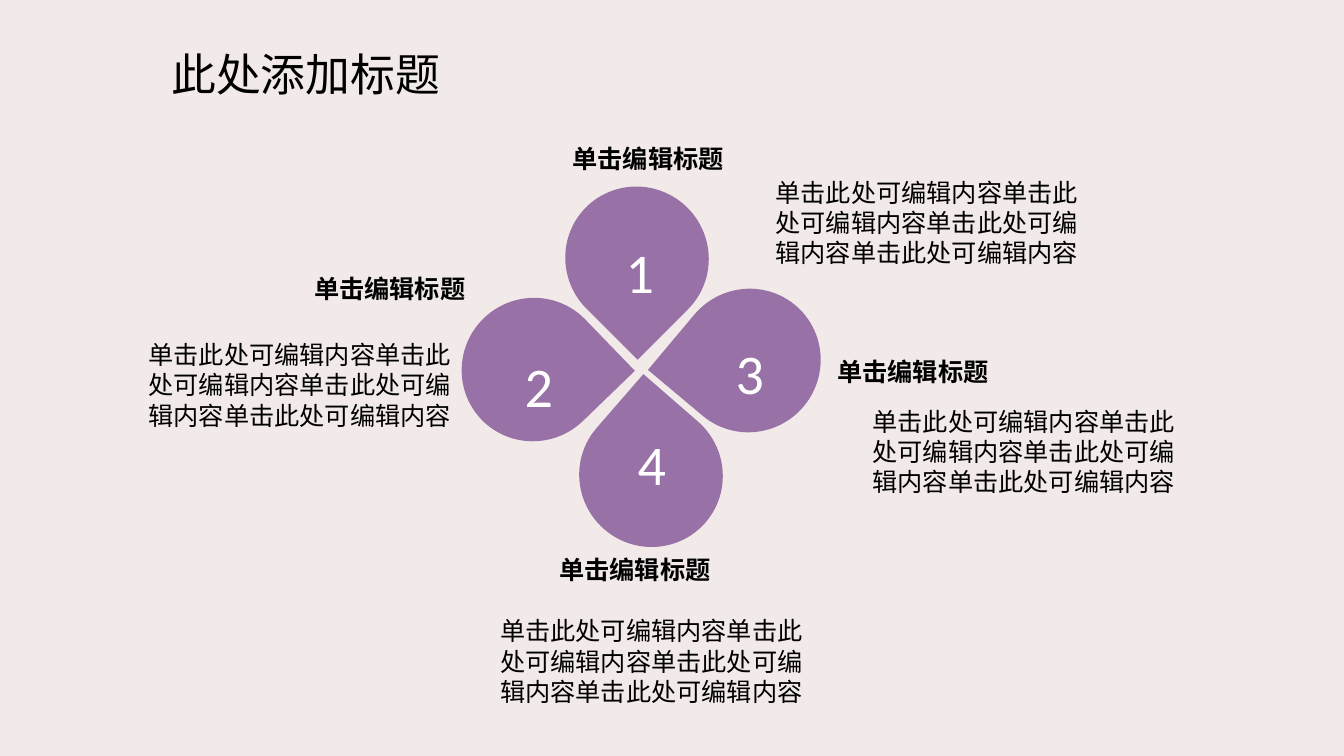
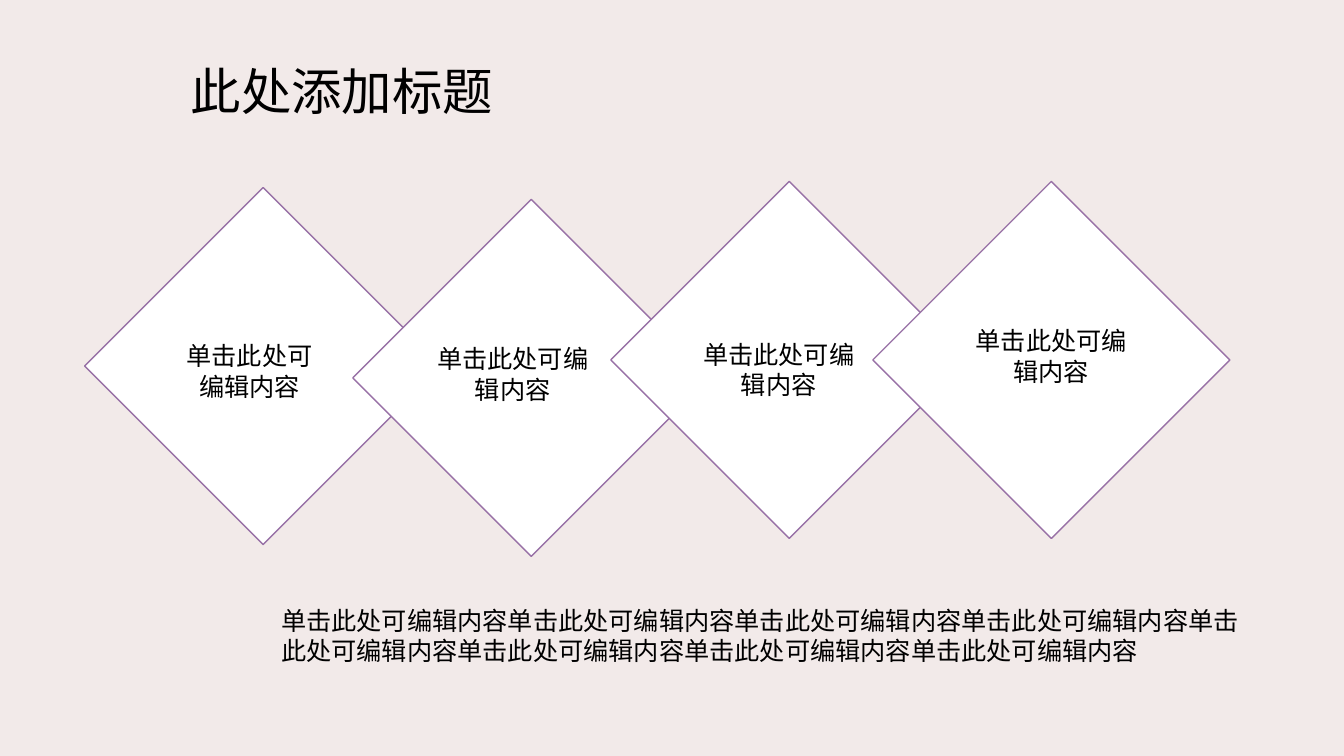
from dataclasses import dataclass

from lxml import etree
from pptx import Presentation
from pptx.dml.color import RGBColor
from pptx.enum import shapes, text
from pptx.oxml import ns
from pptx.util import Pt


@dataclass(frozen=True)
class Theme:
    ground: str = "F2EAE9"
    purple: str = "9871A6"
    white: str = "FFFFFF"
    ink: str = "000000"
    latin: str = "Calibri"
    cjk: str = "Noto Sans CJK SC"
    body: int = 18
    number: int = 40


T = Theme()
LEFT, CENTER = text.PP_ALIGN.LEFT, text.PP_ALIGN.CENTER
SLIDE_SIZE = (960, 540)
TITLE = "此处添加标题"
HEADING = "单击编辑标题"
PHRASE = "单击此处可编辑内容"

PETAL_SIZE = (102, 103)
PETALS = [
    dict(number="1", petal=(404, 133), turn=135, digit=(437, 166.3, 40),
         heading=(401.8, 98.6, 136), align=LEFT, body=(545, 123, 234)),
    dict(number="2", petal=(330, 212.5), turn=46, digit=(362, 247.7, 45.5),
         heading=(212.4, 191.5, 132), align=CENTER, body=(98.5, 239, 231)),
    dict(number="3", petal=(484, 206), turn=220, digit=(507, 238.3, 57),
         heading=(591, 251.3, 142), align=LEFT, body=(607.7, 286.6, 247)),
    dict(number="4", petal=(414, 288), turn=311, digit=(440.6, 303, 50),
         heading=(392.4, 392.4, 126), align=LEFT, body=(348.5, 436.3, 233.5)),
]

DIAMOND_SIZE = (255, 255)
DIAMONDS = [
    dict(diamond=(60.5, 134), label=(117.4, 239.8, 121.7)),
    dict(diamond=(252, 142.5), label=(304.6, 242, 123.2)),
    dict(diamond=(436.3, 129.6), label=(493.2, 239, 126)),
    dict(diamond=(623.5, 129.6), label=(685.4, 229, 131)),
]
SUMMARY = (193.7, 429, 701.3)


def color(code):
    return RGBColor.from_string(code)


def write(tf, words, size=T.body, font=T.cjk, ink=T.ink, bold=False, align=LEFT):
    tf.word_wrap = True
    tf.vertical_anchor = text.MSO_ANCHOR.TOP
    p = tf.paragraphs[0]
    p.alignment = align
    r = p.add_run()
    r.text = words
    r.font.name, r.font.size, r.font.bold = font, Pt(size), bold
    r.font.color.rgb = color(ink)
    ea = etree.Element(ns.qn("a:ea"), typeface=T.cjk)
    r.font._element.find(ns.qn("a:latin")).addnext(ea)


def add_text(s, place, height, words, **style):
    box = s.shapes.add_textbox(*map(Pt, (*place, height)))
    write(box.text_frame, words, **style)


def add_figure(s, kind, corner, size, fill, line=None):
    sp = s.shapes.add_shape(kind, *map(Pt, (*corner, *size)))
    sp.shadow.inherit = False
    sp.fill.solid()
    sp.fill.fore_color.rgb = color(fill)
    if line:
        sp.line.color.rgb = color(line)
        sp.line.width = Pt(1)
    else:
        sp.line.fill.background()
    return sp


def add_slide(prs, place, size):
    s = prs.slides.add_slide(prs.slide_layouts[5])
    sp = s.shapes.title
    sp.left, sp.top, sp.width, sp.height = map(Pt, place)
    write(sp.text_frame, TITLE, size=size, font=T.latin)
    sp.text_frame.auto_size = text.MSO_AUTO_SIZE.NONE
    return s


def build_petals(prs):
    s = add_slide(prs, (115.2, 29.5, 245, 46), 32)
    for item in PETALS:
        sp = add_figure(s, shapes.MSO_SHAPE.TEAR, item["petal"], PETAL_SIZE, T.purple)
        sp.rotation = item["turn"]
    for item in PETALS:
        add_text(s, item["digit"], 55.5, item["number"], size=T.number,
                 font=T.latin, ink=T.white, align=CENTER)
        add_text(s, item["heading"], 29, HEADING, bold=True, align=item["align"])
        add_text(s, item["body"], 73, PHRASE * 4, align=CENTER)


def build_diamonds(prs):
    s = add_slide(prs, (129, 39, 248, 51), 36)
    for item in DIAMONDS:
        add_figure(s, shapes.MSO_SHAPE.DIAMOND, item["diamond"], DIAMOND_SIZE,
                   T.white, T.purple)
    for item in DIAMONDS:
        add_text(s, item["label"], 51, PHRASE, align=CENTER)
    add_text(s, SUMMARY, 73, PHRASE * 8)


def main():
    prs = Presentation()
    prs.slide_width, prs.slide_height = map(Pt, SLIDE_SIZE)
    ground = prs.slide_master.background.fill
    ground.solid()
    ground.fore_color.rgb = color(T.ground)
    build_petals(prs)
    build_diamonds(prs)
    prs.save("out.pptx")


if __name__ == "__main__":
    main()
